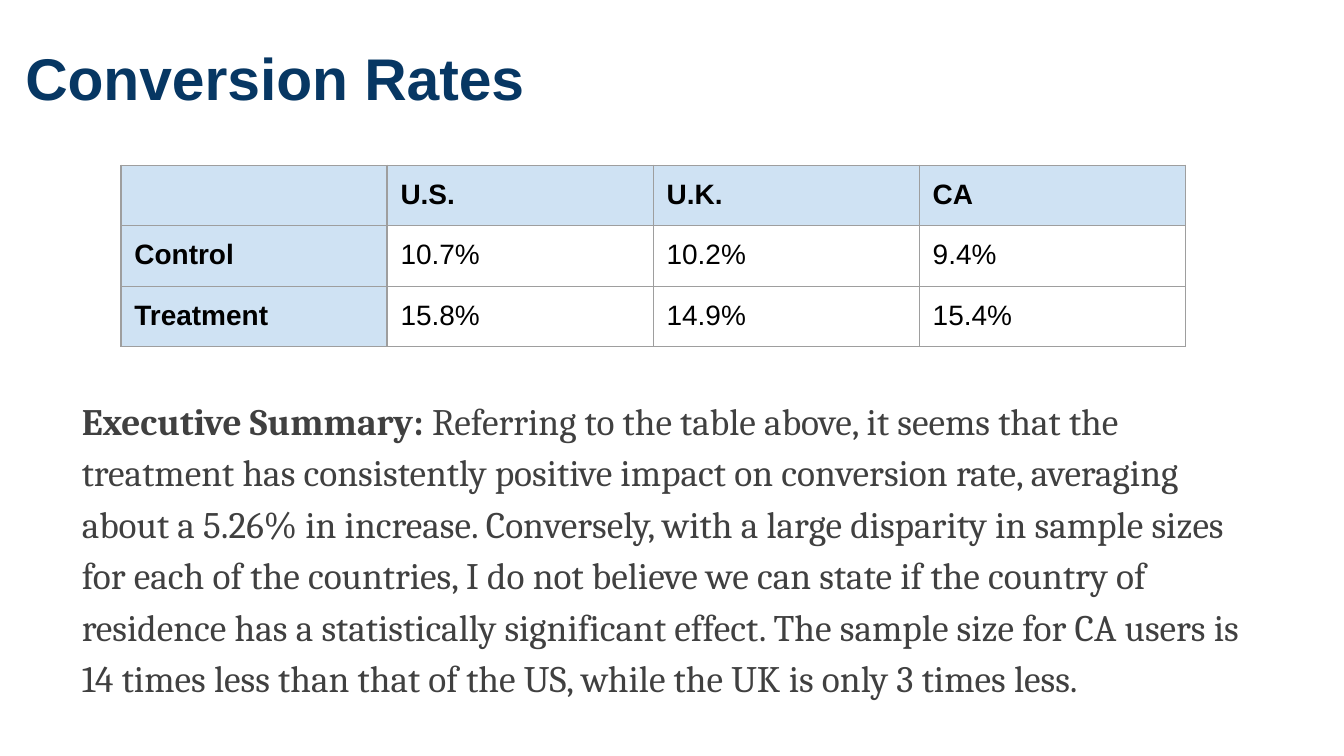
from lxml.etree import SubElement
from pptx import Presentation
from pptx.dml.color import RGBColor as RGB
from pptx.enum.text import MSO_AUTO_SIZE as Fit
from pptx.oxml.ns import qn
from pptx.util import Inches, Pt

COLORS = {
    "title": "073763",
    "body": "404040",
    "cell": "000000",
    "head": "CFE2F3",
    "plain": "FFFFFF",
    "line": "9E9E9E",
}
PAD = Inches(0.1)
RATES = [
    ["", "U.S.", "U.K.", "CA"],
    ["Control", "10.7%", "10.2%", "9.4%"],
    ["Treatment", "15.8%", "14.9%", "15.4%"],
]
LEAD = "Executive Summary: "
SUMMARY = (
    "Referring to the table above, it seems that the treatment has "
    "consistently positive impact on conversion rate, averaging about a "
    "5.26% in increase. Conversely, with a large disparity in sample sizes "
    "for each of the countries, I do not believe we can state if the country "
    "of residence has a statistically significant effect. The sample size "
    "for CA users is 14 times less than that of the US, while the UK is only "
    "3 times less."
)


def style(run, face, size, color, bold):
    font = run.font
    font.name, font.size, font.bold = face, Pt(size), bold
    font.color.rgb = RGB.from_string(COLORS[color])


def pad(part):
    part.margin_left = part.margin_right = PAD
    part.margin_top = part.margin_bottom = PAD


def add_text(slide, box):
    frame = slide.shapes.add_textbox(*map(Inches, box)).text_frame
    frame.word_wrap = True
    frame.auto_size = Fit.SHAPE_TO_FIT_TEXT
    pad(frame)
    return frame


def add_title(slide, box):
    frame = add_text(slide, box)
    frame.text = "Conversion Rates"
    style(frame.paragraphs[0].runs[0], "Arial", 31.5, "title", True)


def add_edges(cell):
    # Borders come before the fill in the cell properties
    props = cell._tc.get_or_add_tcPr()
    for side in ("a:lnL", "a:lnR", "a:lnT", "a:lnB"):
        line = SubElement(props, qn(side), w=str(Pt(0.75)))
        fill = SubElement(line, qn("a:solidFill"))
        SubElement(fill, qn("a:srgbClr"), val=COLORS["line"])


def add_rates(slide, box):
    rows, cols = len(RATES), len(RATES[0])
    table = slide.shapes.add_table(rows, cols, *map(Inches, box)).table
    for r, row in enumerate(RATES):
        for c, text in enumerate(row):
            cell = table.cell(r, c)
            head = r == 0 or c == 0
            pad(cell)
            add_edges(cell)
            cell.fill.solid()
            shade = COLORS["head" if head else "plain"]
            cell.fill.fore_color.rgb = RGB.from_string(shade)
            cell.text = text
            para = cell.text_frame.paragraphs[0]
            for run in para.runs:
                style(run, "Arial", 15, "cell", head)
            if not text:
                # Keeps the empty cell from stretching its row
                SubElement(para._p, qn("a:endParaRPr"), sz="1500")


def add_summary(slide, box):
    para = add_text(slide, box).paragraphs[0]
    para.line_spacing = 1.15
    for text, bold in ((LEAD, True), (SUMMARY, False)):
        run = para.add_run()
        run.text = text
        style(run, "Cambria", 20, "body", bold)


def main():
    deck = Presentation()
    # Widescreen, 16 to 9
    deck.slide_width = Inches(10)
    deck.slide_height = Inches(10 * 9 / 16)
    slide = deck.slides.add_slide(deck.slide_layouts[6])
    add_title(slide, (0.09, 0.21, 10, 0.73))
    add_rates(slide, (0.9, 1.23, 7.92, 1.35))
    add_summary(slide, (0.51, 2.81, 8.98, 2.52))
    deck.save("out.pptx")


if __name__ == "__main__":
    main()
